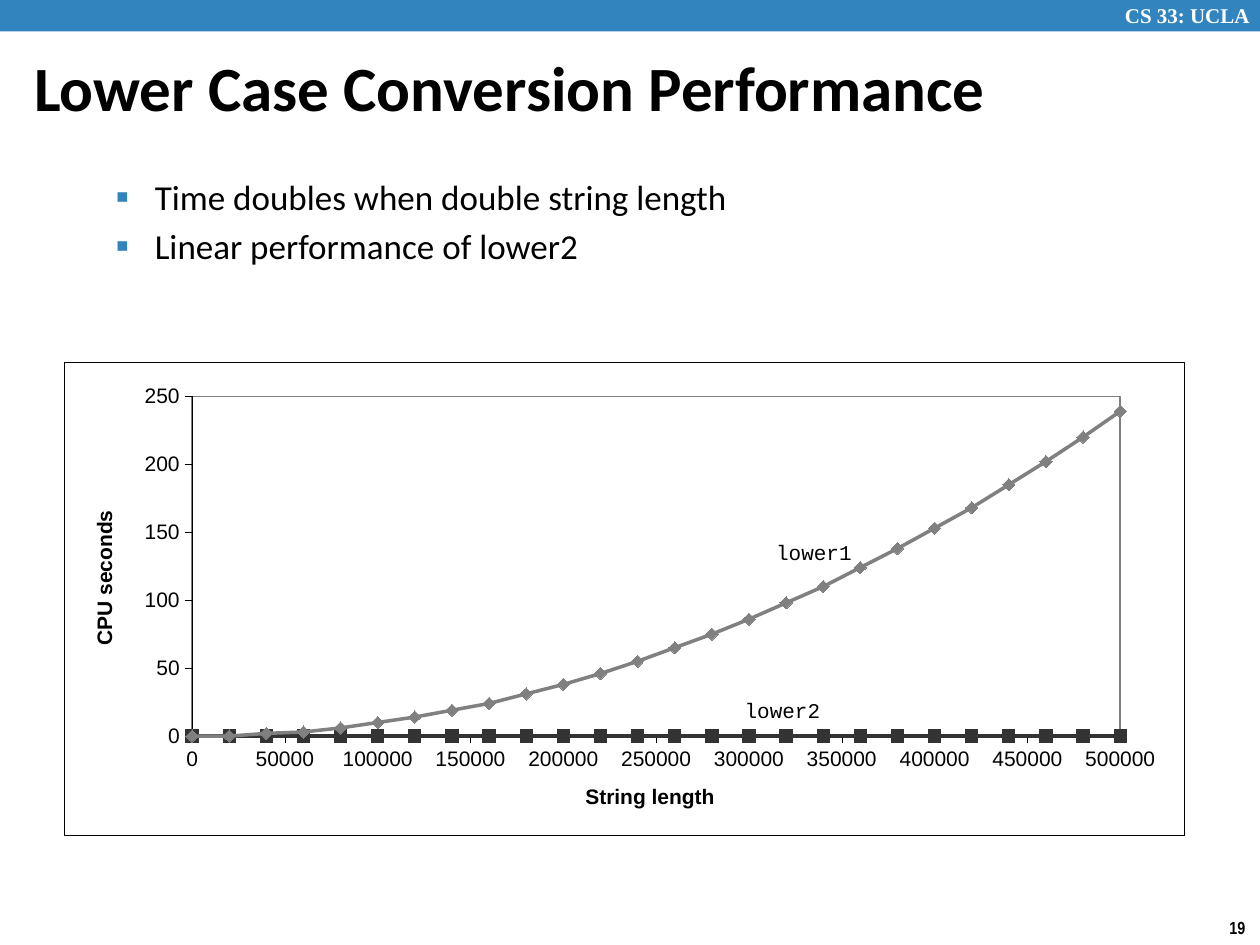
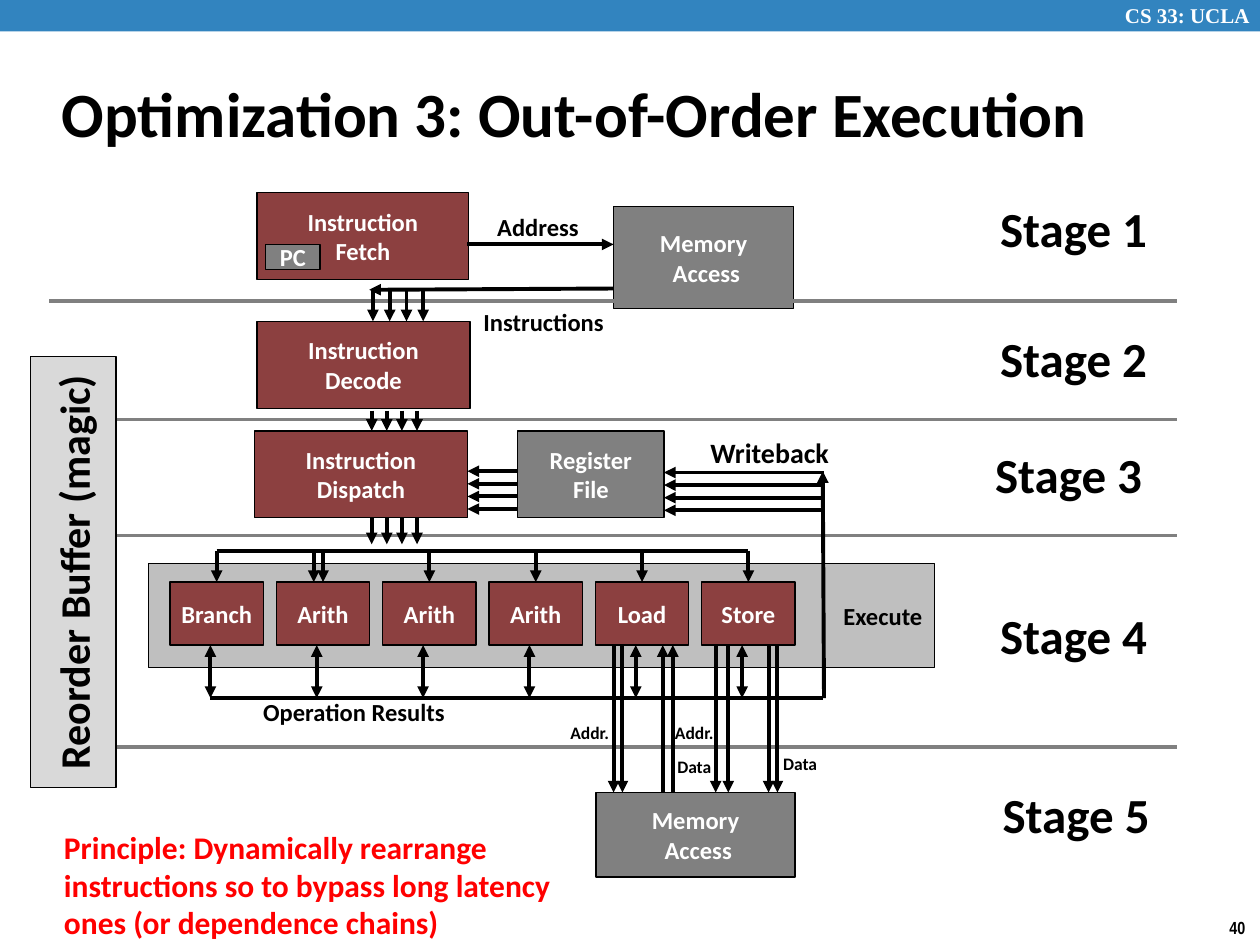
"""Build two course slides: a timing chart and an out-of-order pipeline diagram."""
from lxml.etree import SubElement
from pptx import Presentation
from pptx.chart.data import XyChartData
from pptx.dml.color import RGBColor
from pptx.enum.chart import XL_CHART_TYPE as Kind, XL_MARKER_STYLE as Mark, XL_TICK_MARK as Tick
from pptx.enum.shapes import MSO_CONNECTOR as Line, MSO_SHAPE as Shape
from pptx.enum.text import MSO_ANCHOR as Anchor, MSO_AUTO_SIZE as Fit, PP_ALIGN as Align
from pptx.oxml import parse_xml
from pptx.oxml.ns import nsdecls, qn
from pptx.util import Inches, Pt

BLUE = RGBColor(0x32, 0x84, 0xBF)
WINE = RGBColor(0x8C, 0x40, 0x40)
GRAY = RGBColor(0x80, 0x80, 0x80)
SILVER = RGBColor(0xBF, 0xBF, 0xBF)
PALE = RGBColor(0xD9, 0xD9, 0xD9)
DARK = RGBColor(0x33, 0x33, 0x33)
BLACK = RGBColor(0, 0, 0)
WHITE = RGBColor(0xFF, 0xFF, 0xFF)
RED = RGBColor(0xFF, 0, 0)

deck = Presentation()
deck.slide_width, deck.slide_height = Inches(10), Inches(7.5)
COL, ROW = deck.slide_width / 100, deck.slide_height / 75
BASE = {"name": "Calibri", "size": Pt(14), "bold": True}


def put(slide, box, text, fill=None, ink=BLACK, align=Align.CENTER, wrap=False, edge=True, **style):
    x, y, w, h = box
    area = [int(v) for v in (x * COL, y * ROW, w * COL, h * ROW)]
    if fill is None:
        item = slide.shapes.add_textbox(*area)
    else:
        item = slide.shapes.add_shape(Shape.RECTANGLE, *area)
        item.shadow.inherit = False
        item.fill.solid()
        item.fill.fore_color.rgb = fill
        if edge:
            item.line.color.rgb, item.line.width = BLACK, Pt(0.75)
        else:
            item.line.fill.background()
    frame = item.text_frame
    frame.text = text
    frame.word_wrap = wrap
    frame.auto_size = Fit.SHAPE_TO_FIT_TEXT if fill is None else Fit.NONE
    frame.vertical_anchor = Anchor.TOP if fill is None else Anchor.MIDDLE
    for para in frame.paragraphs:
        para.alignment = align
        for run in para.runs:
            run.font.color.rgb = ink
            for key, val in {**BASE, **style}.items():
                setattr(run.font, key, val)
    return item


def link(slide, start, end, ends=("tail",), ink=BLACK, width=2.25):
    (a, b), (c, d) = start, end
    wire = slide.shapes.add_connector(
        Line.STRAIGHT, int(a * COL), int(b * ROW), int(c * COL), int(d * ROW))
    wire.line.color.rgb, wire.line.width = ink, Pt(width)
    for end in ends:
        SubElement(wire.line._get_or_add_ln(), qn(f"a:{end}End"), type="triangle")
    SubElement(wire._element.spPr, qn("a:effectLst"))
    return wire


pages = []
for text, box, page in (
    ("Lower Case Conversion Performance", (1.7, 3.7, 95.8, 6.3), "19"),
    ("Optimization 3: Out-of-Order Execution", (3.9, 4.8, 87.8, 8.3), "40"),
):
    slide = deck.slides.add_slide(deck.slide_layouts[5])
    put(slide, (0, 0, 100, 2.5), "", BLUE, edge=False)
    put(slide, (88.3, -0.3, 12.4, 3), "CS 33: UCLA", ink=WHITE, align=Align.LEFT, wrap=True,
        name="Times New Roman", size=Pt(12))
    put(slide, (96.6, 72.3, 3.4, 2.7), page, align=Align.LEFT, name="Arial Narrow", size=Pt(10))
    title = slide.shapes.title
    x, y, w, h = box
    title.left, title.top = int(x * COL), int(y * ROW)
    title.width, title.height = int(w * COL), int(h * ROW)
    frame = title.text_frame
    frame.text = text
    frame.word_wrap, frame.auto_size, frame.vertical_anchor = True, Fit.NONE, Anchor.MIDDLE
    para = frame.paragraphs[0]
    para.alignment = Align.LEFT
    font = para.runs[0].font
    for key, val in {**BASE, "size": Pt(36)}.items():
        setattr(font, key, val)
    font.color.rgb = BLACK
    pages.append(slide)
perf, pipe = pages

notes = put(perf, (3.2, 13.4, 90.9, 9.9),
            "Time doubles when double string length\nLinear performance of lower2",
            align=Align.LEFT, wrap=True, size=Pt(20), bold=False)
for i, para in enumerate(notes.text_frame.paragraphs):
    props = para._p.get_or_add_pPr()
    props.set("marL", str(Inches(0.81)))
    props.set("indent", str(-Inches(0.31)))
    color = SubElement(props, qn("a:buClr"))
    SubElement(color, qn("a:srgbClr"), val=str(BLUE))
    SubElement(props, qn("a:buSzPct"), val="110000")
    SubElement(props, qn("a:buFont"), typeface="Arial")
    SubElement(props, qn("a:buChar"), char="▪")
    if i:
        para.space_before = Pt(4)

data = XyChartData()
times = [0, 0, 2, 3, 6, 10, 14, 19, 24, 31, 38, 46, 55, 65, 75, 86, 98, 110, 124, 138,
         153, 168, 185, 202, 220, 239]
for name, vals in (("Series 1", times), ("Series 2", [0] * len(times))):
    series = data.add_series(name)
    for i, val in enumerate(vals):
        series.add_data_point(i * 20000, val)
area = [int(v) for v in (5.1 * COL, 28.7 * ROW, 88.9 * COL, 37.6 * ROW)]
chart = perf.shapes.add_chart(Kind.XY_SCATTER_SMOOTH, *area, data).chart
chart.has_legend = chart.has_title = False
chart.font.name, chart.font.size, chart.font.color.rgb = "Arial", Pt(12), BLACK
plot = chart.plots[0]
plot.vary_by_categories = False
for series, ink, style in zip(plot.series, (GRAY, DARK), (Mark.DIAMOND, Mark.SQUARE)):
    series.smooth = True
    series.format.line.color.rgb, series.format.line.width = ink, Pt(2)
    mark = series.marker
    mark.style, mark.size = style, 7
    mark.format.fill.solid()
    mark.format.fill.fore_color.rgb = ink
    mark.format.line.color.rgb = ink
for axis, name, top, step in (
    (chart.category_axis, "String length", 500000, 50000),
    (chart.value_axis, "CPU seconds", 250, 50),
):
    form = {"minimum_scale": 0, "maximum_scale": top, "major_unit": step,
            "major_tick_mark": Tick.OUTSIDE, "minor_tick_mark": Tick.NONE,
            "has_major_gridlines": axis is chart.value_axis, "has_title": True}
    for key, val in form.items():
        setattr(axis, key, val)
    lines = [axis.format.line]
    if axis.has_major_gridlines:
        lines.append(axis.major_gridlines.format.line)
    for line in lines:
        line.color.rgb, line.width = BLACK, Pt(0.25)
    axis.axis_title.text_frame.text = name
    font = axis.axis_title.text_frame.paragraphs[0].runs[0].font
    for key, val in {"name": "Arial", "size": Pt(12), "bold": True}.items():
        setattr(font, key, val)
    font.color.rgb = BLACK

root = chart._chartSpace
zone = root.find(".//" + qn("c:plotArea"))
for old in zone.findall(qn("c:layout")):
    zone.remove(old)
tags = [("layoutTarget", "inner"), ("xMode", "edge"), ("yMode", "edge"),
        ("x", 0.114), ("y", 0.073), ("w", 0.829), ("h", 0.718)]
inner = "".join(f'<c:{tag} val="{val}"/>' for tag, val in tags)
zone.insert(0, parse_xml(
    f'<c:layout {nsdecls("c")}><c:manualLayout>{inner}</c:manualLayout></c:layout>'))
skin = ('<c:spPr {}><a:solidFill><a:srgbClr val="FFFFFF"/></a:solidFill><a:ln w="{}">'
        '<a:solidFill><a:srgbClr val="{}"/></a:solidFill></a:ln></c:spPr>')
root.find(qn("c:chart")).addnext(parse_xml(skin.format(nsdecls("c", "a"), Pt(0.25), BLACK)))
zone.append(parse_xml(skin.format(nsdecls("c", "a"), Pt(1), GRAY)))

for text, x, y in (("lower1", 61.3, 42.5), ("lower2", 58.8, 55.1)):
    tag = put(perf, (x, y, 6.4, 2.4), text, align=Align.LEFT,
              name="Courier New", size=Pt(12), bold=False)
    frame = tag.text_frame
    frame.margin_left = frame.margin_top = Inches(0.03)
    frame.margin_right = frame.margin_bottom = 0

for text, fill, box in (
    ("Instruction\nFetch", WINE, (20.4, 15.3, 16.8, 6.9)),
    ("Instruction\nDecode", WINE, (20.4, 25.5, 16.9, 6.9)),
    ("Memory\n Access", GRAY, (48.7, 16.4, 14.3, 8.1)),
    ("Instruction\nDispatch", WINE, (20.2, 34.2, 16.9, 6.9)),
    ("Register\nFile", GRAY, (41.1, 34.2, 11.6, 6.9)),
    ("Memory\n Access", GRAY, (47.3, 62.9, 15.8, 6.7)),
    ("PC", GRAY, (21.1, 19.4, 4.3, 2)),
):
    put(pipe, box, text, fill, WHITE)
put(pipe, (11.8, 44.7, 62.4, 8.3), "Execute", SILVER, align=Align.RIGHT)

link(pipe, (29.6, 23.9), (48.7, 23.9), ())
for x, y in ((3.9, 23.9), (4.1, 33.3), (4.1, 42.5), (4.3, 59.3)):
    link(pipe, (x, y), (93.4, y), (), GRAY, 2)

PITCH = 8.44
for i, name in enumerate(("Branch", "Arith", "Arith", "Arith", "Load", "Store")):
    x = 13.5 + i * PITCH
    unit = put(pipe, (x, 46.2, 7.4, 5), name, WINE, WHITE)
    feed = link(pipe, (x + 3.7, 43.7), (x + 3.7, 46.2))
    feed.end_connect(unit, 0)
    link(pipe, (x + 3.2, 51.2), (x + 3.2, 55.4), ("head", "tail"))
link(pipe, (24.9, 43.7), (24.9, 46.2))
link(pipe, (17.2, 43.7), (17.2 + 5 * PITCH, 43.7), ())
link(pipe, (16.7, 55.4), (65.3, 55.4), ())
link(pipe, (65.4, 55.4), (65.3, 37.4))
link(pipe, (37.1, 19.4), (48.7, 19.4))
link(pipe, (48.7, 22.9), (29.3, 23))
for x in (48.7, 49.4, 56.8, 57.8, 61, 61.7):
    link(pipe, (x, 51.2), (x, 62.9))
for x in (52.6, 53.4):
    link(pipe, (x, 62.9), (x, 51.2))
for i in range(4):
    x, y = 29.5 + 1.2 * i, 37.4 + i
    link(pipe, (29.6 + 1.33 * i, 23), (29.6 + 1.33 * i, 25.5))
    link(pipe, (x, 32.6), (x, 34.2))
    link(pipe, (x, 41.1), (x, 43.2))
    link(pipe, (41.1, y), (37.1, y))
    link(pipe, (65.4, y + 0.1), (52.7, y + 0.1))

for text, box, size in (
    ("Address", (38.4, 16.3, 8.6, 3.4), 14),
    ("Instructions", (37.3, 23.9, 11.7, 3.4), 14),
    ("Operation Results", (19.8, 54.8, 16.6, 3.4), 14),
    ("Data", (61.1, 59.3, 4.8, 2.7), 10),
    ("Data", (52.7, 59.5, 4.8, 2.7), 10),
    ("Addr.", (44.2, 56.8, 5.2, 2.7), 10),
    ("Addr.", (52.5, 56.8, 5.2, 2.7), 10),
):
    put(pipe, box, text, size=Pt(size))
put(pipe, (55.4, 34.1, 14, 3.7), "Writeback", align=Align.LEFT, wrap=True, size=Pt(16))
for i, (x, y) in enumerate(((78.3, 15.3), (78.3, 25.6), (77.9, 34.8), (78.3, 47.6), (78.5, 61.8))):
    put(pipe, (x, y, 13.8, 5.7), f"Stage {i + 1}", size=Pt(28))
buffer = put(pipe, (-11.3, 42, 34.2, 6.8), "Reorder Buffer (magic)", PALE, wrap=True, size=Pt(24))
buffer.rotation = 270
put(pipe, (4.1, 65.2, 44.7, 10.1),
    "Principle: Dynamically rearrange instructions so to bypass long latency ones "
    "(or dependence chains)", ink=RED, align=Align.LEFT, wrap=True, size=Pt(18))

deck.save("out.pptx")
